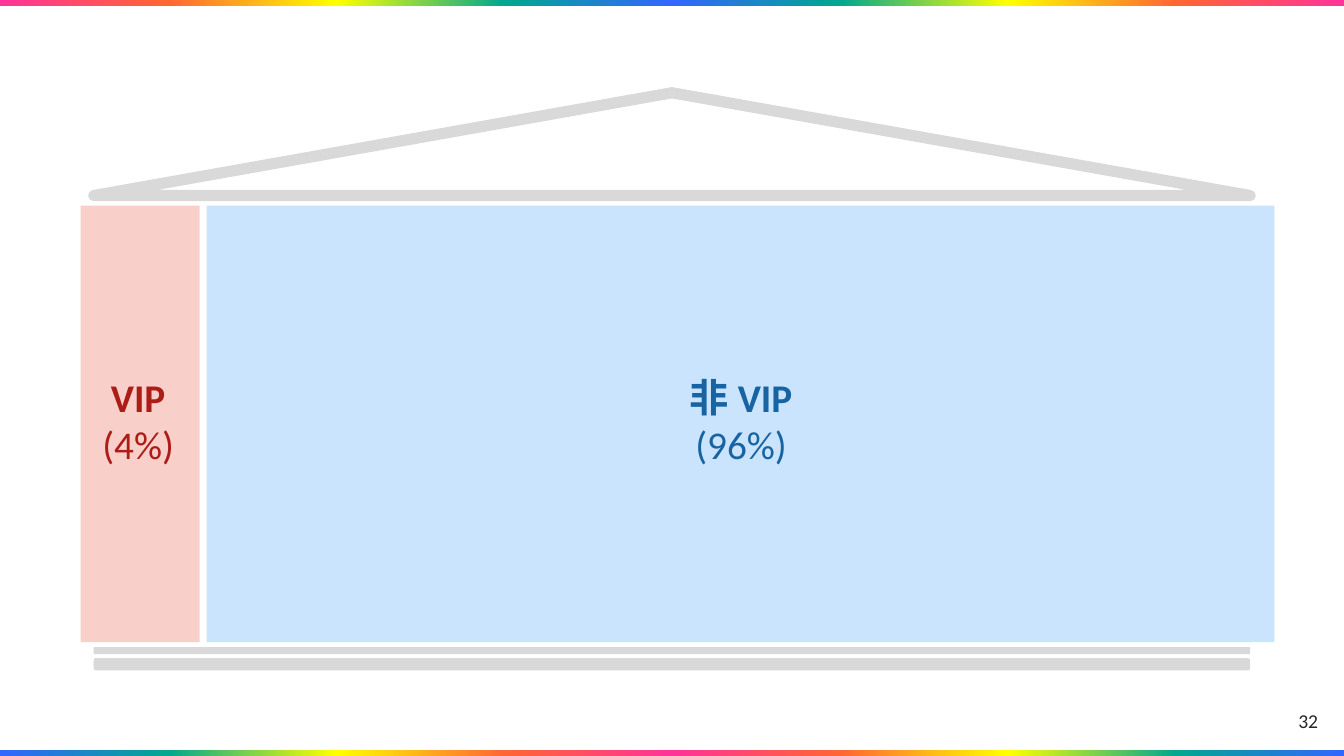
from lxml import etree
from pptx import Presentation
from pptx.dml.color import RGBColor
from pptx.enum.shapes import MSO_SHAPE
from pptx.enum.text import MSO_ANCHOR, PP_ALIGN
from pptx.oxml.ns import qn
from pptx.util import Inches, Pt

RECTANGLE = MSO_SHAPE.RECTANGLE
ROUNDED = MSO_SHAPE.ROUNDED_RECTANGLE
TRIANGLE = MSO_SHAPE.ISOSCELES_TRIANGLE
CENTER = PP_ALIGN.CENTER
TOP, MIDDLE = MSO_ANCHOR.TOP, MSO_ANCHOR.MIDDLE

PAGE_WIDTH, PAGE_HEIGHT = 13.33, 7.5
STRIPE_HEIGHT = 0.06
RAINBOW = ["FF3399", "FF6633", "FFFF00", "01A78F", "3366FF"]
GREY = "D9D9D9"
HOUSE_LEFT, HOUSE_WIDTH = 0.93, 11.47
ROOM_TOP, ROOM_HEIGHT = 2.04, 4.33
LABEL_TOP, LABEL_HEIGHT = 3.65, 1.04


def color(hex_text):
    return RGBColor.from_string(hex_text)


def add_block(shapes, kind, left, top, width, height, fill=None, alpha=None):
    """Add a shape without outline; alpha is the opacity in percent."""
    block = shapes.add_shape(kind, Inches(left), Inches(top), Inches(width), Inches(height))
    block.shadow.inherit = False
    block.line.fill.background()
    if fill is None:
        block.fill.background()
        return block
    block.fill.solid()
    block.fill.fore_color.rgb = color(fill)
    if alpha is not None:
        tint = block.fill._xPr.find(".//" + qn("a:srgbClr"))
        etree.SubElement(tint, qn("a:alpha"), val=str(alpha * 1000))
    return block


def add_rainbow(page, left, top, rotation):
    stripe = add_block(page.shapes, RECTANGLE, left, top, PAGE_WIDTH / 2, STRIPE_HEIGHT)
    stripe.rotation = rotation
    stripe.fill.gradient()
    stripe.fill.gradient_angle = 0
    stops = stripe.fill._xPr.find(".//" + qn("a:gsLst"))
    for stop in list(stops):
        stops.remove(stop)
    for index, tint in enumerate(RAINBOW):
        stop = etree.SubElement(stops, qn("a:gs"), pos=str(index * 25000))
        etree.SubElement(stop, qn("a:srgbClr"), val=tint)


def add_text(page, lines, left, top, width, height, size, tint, bold_first=False, anchor=TOP):
    box = page.shapes.add_textbox(Inches(left), Inches(top), Inches(width), Inches(height))
    frame = box.text_frame
    frame.word_wrap = True
    frame.vertical_anchor = anchor
    for index, line in enumerate(lines):
        para = frame.paragraphs[0] if index == 0 else frame.add_paragraph()
        para.alignment = CENTER
        span = para.add_run()
        span.text = line
        span.font.name = "Calibri"
        span.font.size = Pt(size)
        span.font.bold = bold_first and index == 0
        span.font.color.rgb = color(tint)


def add_house(page):
    """Group the roof and the two steps under the rooms."""
    house = page.shapes.add_group_shape()
    roof = add_block(house.shapes, TRIANGLE, HOUSE_LEFT, 0.92, HOUSE_WIDTH, 1.02)
    roof.line.color.rgb = color(GREY)
    roof.line.width = Pt(8)
    etree.SubElement(roof.line._get_or_add_ln(), qn("a:round"))
    for top, height in ((6.53, 0.12), (6.42, 0.07)):
        add_block(house.shapes, ROUNDED, HOUSE_LEFT, top, HOUSE_WIDTH, height, fill=GREY)


def main():
    deck = Presentation()
    deck.slide_width, deck.slide_height = Inches(PAGE_WIDTH), Inches(PAGE_HEIGHT)
    page = deck.slides.add_slide(deck.slide_layouts[6])

    half, bottom = PAGE_WIDTH / 2, PAGE_HEIGHT - STRIPE_HEIGHT
    for left, top, rotation in ((0, 0, 0), (0, bottom, 180), (half, bottom, 0), (half, 0, 180)):
        add_rainbow(page, left, top, rotation)

    add_text(page, ["非 VIP", "(96%)"], 6.53, LABEL_TOP, 1.64, LABEL_HEIGHT,
             size=28, tint="00487E", bold_first=True)
    add_text(page, ["VIP", "(4%)"], 0.8, LABEL_TOP, 1.14, LABEL_HEIGHT,
             size=28, tint="920000", bold_first=True)
    add_text(page, ["32"], 12.67, 6.95, 0.61, 0.4, size=14, tint="262626", anchor=MIDDLE)

    add_house(page)
    for left, width, fill in ((0.8, 1.18, "EC6152"), (2.05, 10.59, "51A8F9")):
        add_block(page.shapes, RECTANGLE, left, ROOM_TOP, width, ROOM_HEIGHT, fill=fill, alpha=30)

    deck.save("out.pptx")


if __name__ == "__main__":
    main()
